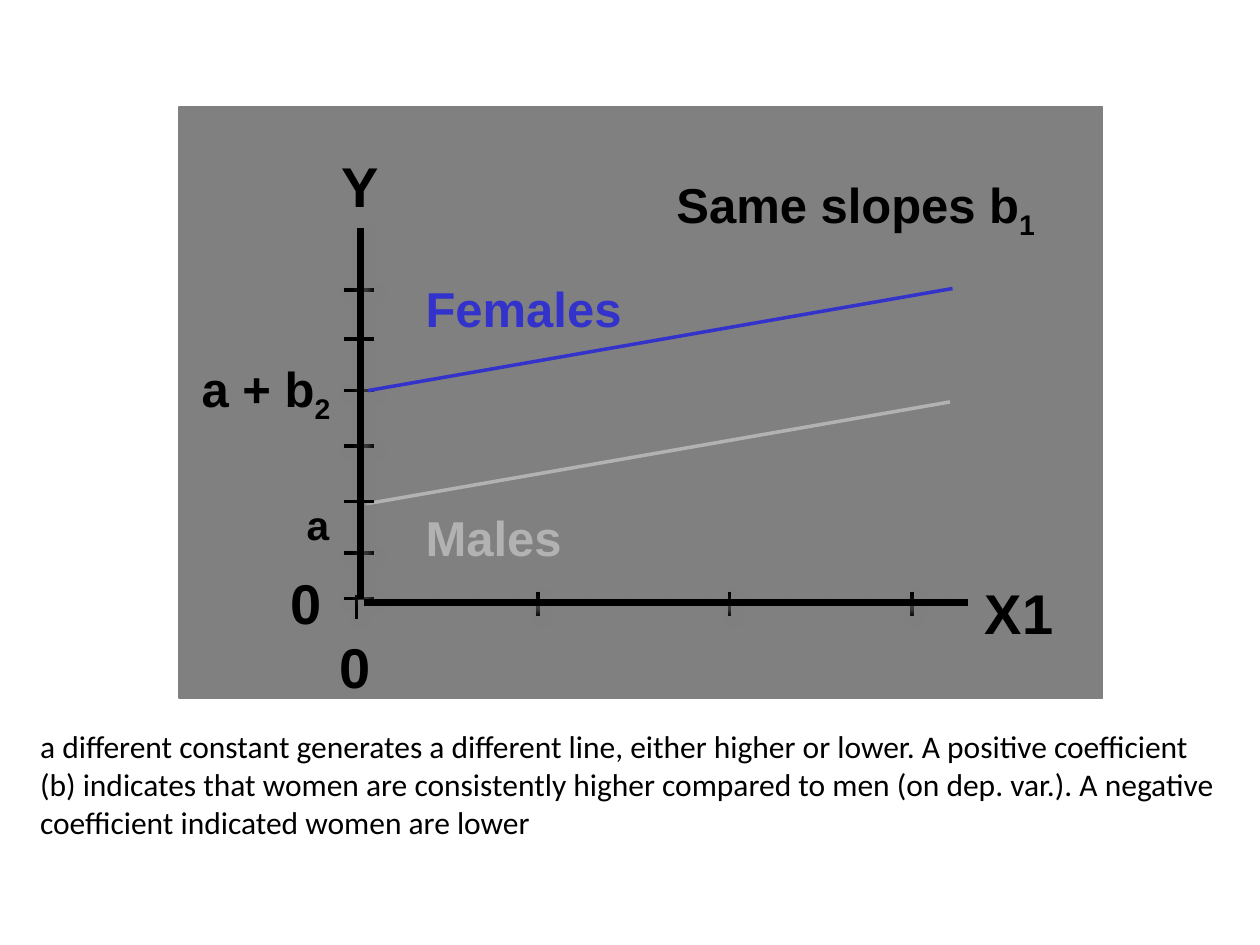
"""Build a slide showing two parallel regression lines with different constants."""
from lxml.etree import SubElement
from pptx import Presentation
from pptx.dml.color import RGBColor
from pptx.enum.shapes import MSO_CONNECTOR, MSO_SHAPE
from pptx.enum.text import MSO_ANCHOR, PP_ALIGN
from pptx.oxml.ns import qn
from pptx.util import Inches, Pt

BLACK = RGBColor(0x00, 0x00, 0x00)
GRAY = RGBColor(0x80, 0x80, 0x80)
BLUE = RGBColor(0x33, 0x33, 0xCC)
SILVER = RGBColor(0xB2, 0xB2, 0xB2)


def add_run(p, text, size=28, font="Arial", color=BLACK, bold=True, baseline=0):
    r = p.add_run()
    r.text = text
    r.font.size = Pt(size)
    r.font.name = font
    r.font.bold = bold
    r.font.color.rgb = color
    if baseline:
        r._r.get_or_add_rPr().set("baseline", str(baseline * 1000))


class SlideBuilder:
    def __init__(self, prs):
        self.s = prs.slides.add_slide(prs.slide_layouts[6])
        self.graph = self.s.shapes.add_group_shape().shapes

    def panel(self, x, y, w, h, color):
        sp = self.graph.add_shape(MSO_SHAPE.RECTANGLE, Inches(x), Inches(y), Inches(w), Inches(h))
        sp.shadow.inherit = False
        sp.fill.solid()
        sp.fill.fore_color.rgb = color
        sp.line.color.rgb = color
        sp.line.width = Pt(1)

    def line(self, x1, y1, x2, y2, color=BLACK, width=2, shadow=True):
        cx = self.graph.add_connector(
            MSO_CONNECTOR.STRAIGHT, Inches(x1), Inches(y1), Inches(x2), Inches(y2))
        cx.line.color.rgb = color
        cx.line.width = Pt(width)
        effects = SubElement(cx._element.spPr, qn("a:effectLst"))
        if shadow:
            outer = SubElement(effects, qn("a:outerShdw"), blurRad=str(Pt(5)),
                               dist=str(Pt(3)), dir="2700000")
            rgb = SubElement(outer, qn("a:srgbClr"), val=str(GRAY))
            SubElement(rgb, qn("a:alpha"), val="75000")

    def y_tick(self, y, shadow=True):
        self.line(2.73, y, 2.97, y, shadow=shadow)

    def x_tick(self, x, y=4.7):
        self.line(x, y, x, y + 0.19)

    def text(self, x, y, w, h, text, sub="", align=PP_ALIGN.LEFT,
             anchor=MSO_ANCHOR.MIDDLE, shapes=None, **style):
        shapes = shapes or self.graph
        tf = shapes.add_textbox(Inches(x), Inches(y), Inches(w), Inches(h)).text_frame
        tf.word_wrap = True
        tf.vertical_anchor = anchor
        p = tf.paragraphs[0]
        p.alignment = align
        add_run(p, text, **style)
        if sub:
            add_run(p, sub, **{**style, "baseline": -25})

    def axis_label(self, x, y, w, text, align=PP_ALIGN.CENTER):
        self.text(x, y, w, 0.64, text, align=align, anchor=MSO_ANCHOR.TOP, size=32)

    def caption(self, x, y, w, h, text):
        self.text(x, y, w, h, text, anchor=MSO_ANCHOR.TOP, shapes=self.s.shapes,
                  size=18, font="Calibri", bold=False)


def main():
    prs = Presentation()
    prs.slide_width, prs.slide_height = Inches(10), Inches(7.5)
    b = SlideBuilder(prs)

    b.panel(1.42, 0.85, 7.33, 4.69, GRAY)
    for x in (4.27, 5.79, 7.24):
        b.x_tick(x)
    for y in (4.39, 3.54, 3.1, 2.3, 4.75):
        b.y_tick(y)
    b.x_tick(2.83, 4.72)
    b.line(2.9, 4, 7.54, 3.19, SILVER)
    b.line(2.86, 1.81, 2.86, 4.75, width=4)
    b.line(2.89, 4.78, 7.68, 4.78, width=4)
    for y in (3.98, 2.69):
        b.y_tick(y, shadow=False)
    b.line(2.92, 3.1, 7.56, 2.29, BLUE)

    b.axis_label(2.3, 1.15, 1.12, "Y")
    b.axis_label(7.66, 4.54, 0.86, "X1")
    b.axis_label(1.93, 4.46, 0.72, "0", PP_ALIGN.RIGHT)
    b.axis_label(2.46, 4.97, 0.72, "0")

    b.text(5.27, 1.36, 3.25, 0.58, "Same slopes b", sub="1")
    b.text(1.95, 3.7, 0.76, 0.55, "a", align=PP_ALIGN.RIGHT, size=40, baseline=-25)
    b.text(0.98, 2.82, 1.74, 0.58, "a + b", sub="2", align=PP_ALIGN.RIGHT)
    for y, name, color in ((2.15, "Females", BLUE), (3.97, "Males", SILVER)):
        b.text(3.28, y, 1.8, 0.58, name, color=color)

    b.caption(0.22, 5.72, 9.64, 1.01,
              "a different constant generates a different line, either higher or lower. "
              "A positive coefficient (b) indicates that women are consistently higher "
              "compared to men (on dep. var.). A negative coefficient indicated women are lower")
    prs.save("out.pptx")


if __name__ == "__main__":
    main()
